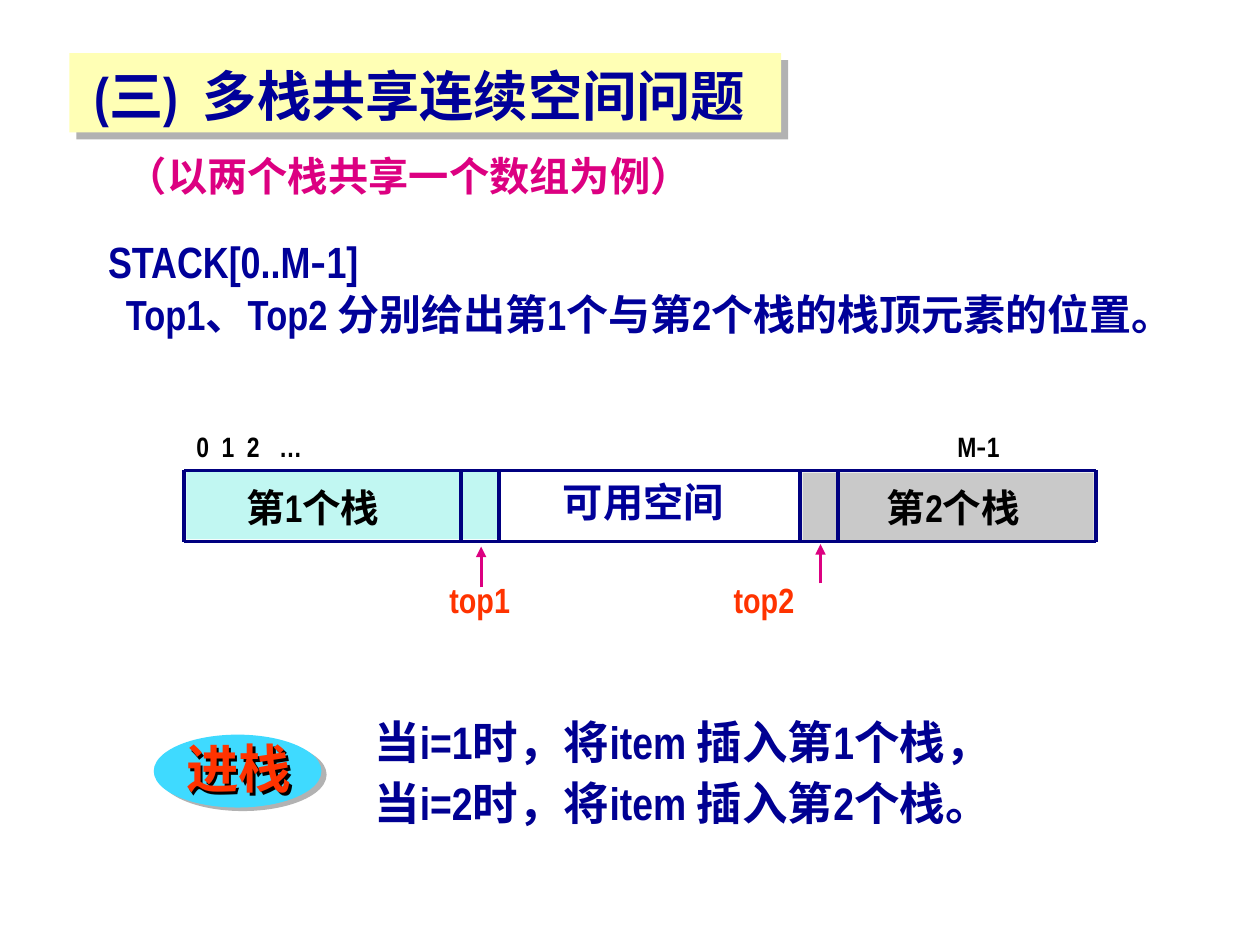
from lxml.etree import SubElement
from pptx import Presentation
from pptx.dml.color import RGBColor
from pptx.enum.shapes import MSO_CONNECTOR, MSO_SHAPE
from pptx.enum.text import MSO_ANCHOR, MSO_AUTO_SIZE, PP_ALIGN
from pptx.oxml.ns import qn
from pptx.util import Cm, Pt

NAVY = RGBColor(0x00, 0x00, 0x99)
DEEP = RGBColor(0x00, 0x00, 0x92)
EDGE = RGBColor(0x00, 0x00, 0x80)
PINK = RGBColor(0xDC, 0x00, 0x81)
RED = RGBColor(0xFF, 0x33, 0x00)
BLACK = RGBColor(0x00, 0x00, 0x00)
CREAM = RGBColor(0xFF, 0xFF, 0xB5)
SKY = RGBColor(0x3F, 0xDA, 0xFF)
MINT = RGBColor(0xC1, 0xF7, 0xF2)
GRAY = RGBColor(0xC9, 0xC9, 0xC9)
SHADE = RGBColor(0xB2, 0xB2, 0xB2)
FONTS = ["Arial Narrow", "Noto Sans CJK SC"]


def write(box, place, lines, size, color, space=1.0):
    box.left, box.top, box.width, box.height = [Cm(v) for v in place]
    frame = box.text_frame
    look = {"word_wrap": True, "auto_size": MSO_AUTO_SIZE.NONE,
            "vertical_anchor": MSO_ANCHOR.TOP}
    for name, value in look.items():
        setattr(frame, name, value)
    for row, line in enumerate(lines):
        para = frame.add_paragraph() if row else frame.paragraphs[0]
        props = para._p.get_or_add_pPr()
        props.set("marL", "0")
        props.set("indent", "0")
        SubElement(props, qn("a:buNone"))
        after = Pt(size / 4) if row < len(lines) - 1 else Pt(0)
        form = {"alignment": PP_ALIGN.LEFT, "line_spacing": space,
                "space_before": Pt(0), "space_after": after}
        for name, value in form.items():
            setattr(para, name, value)
        for turn, part in enumerate(line.split("|")):
            if not part:
                continue
            run = para.add_run()
            run.text = part
            style = {"name": FONTS[turn % 2], "size": Pt(size), "bold": True}
            for name, value in style.items():
                setattr(run.font, name, value)
            run.font.color.rgb = color
            latin = run.font._element.find(qn("a:latin"))
            east = SubElement(run.font._element, qn("a:ea"), typeface=FONTS[1])
            latin.addnext(east)
    return box


def shadow(shape, dist, angle, color):
    effects = SubElement(shape._element.spPr, qn("a:effectLst"))
    outer = SubElement(effects, qn("a:outerShdw"), dist=str(Pt(dist)),
                       dir=str(angle * 60000), algn="ctr", rotWithShape="0")
    SubElement(outer, qn("a:srgbClr"), val=str(color))


deck = Presentation()
deck.slide_width, deck.slide_height = Cm(25.4), Cm(19.05)
slide = deck.slides.add_slide(deck.slide_layouts[1])
shapes = slide.shapes

blocks = [
    (MSO_SHAPE.RECTANGLE, (1.4, 1.07, 14.35, 1.6), CREAM, (5.7, 45)),
    (MSO_SHAPE.OVAL, (3.1, 14.81, 3.38, 1.47), SKY, (3.6, 34)),
    (MSO_SHAPE.RECTANGLE, (3.76, 9.5, 6.27, 1.37), MINT, None),
    (MSO_SHAPE.RECTANGLE, (16.18, 9.53, 5.87, 1.37), GRAY, None),
]
for order, (kind, place, color, cast) in enumerate(blocks):
    block = shapes.add_shape(kind, *[Cm(v) for v in place])
    block.fill.solid()
    block.fill.fore_color.rgb = color
    block.line.fill.background()
    if cast:
        shadow(block, *cast, SHADE)
    else:
        block.shadow.inherit = False
    shapes._spTree.insert(2 + order, block._element)

title = write(shapes.title, (1.65, 1.12, 14.53, 1.57),
              ["(三)|| ||多栈共享连续空间问题"], 31, NAVY)
title.text_frame.paragraphs[0].runs[1].font._element.set("spc", "700")
write(slide.placeholders[1], (7.29, 14.4, 16.18, 2.51),
      ["当i=1时，将item 插入第1个栈，", "当i=2时，将item 插入第2个栈。"],
      26, DEEP, space=0.9)

left, right, top, low = 3.71, 22.1, 9.48, 10.92
rules = [(left, y, right, y, EDGE, 2) for y in (top, low)]
rules += [(x, top, x, low, EDGE, 2.25)
          for x in (left, 9.3, 10.06, 16.13, 16.89, right)]
rules += [(9.7, 11.84, 9.7, 11.02, PINK, 1.75),
          (16.54, 11.76, 16.54, 10.97, PINK, 1.75)]
for *ends, color, width in rules:
    rule = shapes.add_connector(MSO_CONNECTOR.STRAIGHT, *[Cm(v) for v in ends])
    rule.line.color.rgb = color
    rule.line.width = Pt(width)
    if color == PINK:
        SubElement(rule.line._get_or_add_ln(), qn("a:tailEnd"), type="triangle")
    SubElement(rule._element.spPr, qn("a:effectLst"))

labels = [
    ((2.31, 2.92, 13.54, 1.22), "（以两个栈共享一个数组为例）", 23, PINK),
    ((1.93, 4.6, 7.82, 1.32), "STACK[0..M|-|1]", 25, NAVY),
    ((2.29, 5.69, 22.9, 1.27),
     "Top1、Top2 分别给出第1个与第2个栈的栈顶元素的位置。", 24, NAVY),
    ((11.1, 9.5, 5.21, 1.22), "可用空间", 23, NAVY),
    ((4.72, 9.63, 5, 1.19), "|第|1|个栈", 22, BLACK),
    ((17.63, 9.63, 5, 1.19), "|第|2|个栈", 22, BLACK),
]
marks = [(3.71, "0"), (4.22, "1"), (4.73, "2"), (5.38, "…"), (19.05, "M|-|1")]
labels += [((x, 8.53, 2, 0.94), text, 16, BLACK) for x, text in marks]
labels += [((x, 11.53, 2.5, 1.09), text, 20, RED)
           for x, text in [(8.81, "top1"), (14.54, "top2")]]
for place, text, size, color in labels:
    write(shapes.add_textbox(0, 0, 0, 0), place, [text], size, color)

push = write(shapes.add_textbox(0, 0, 0, 0), (3.51, 14.86, 3.81, 1.42),
             ["|进栈"], 30, RED, space=0.9)
shadow(push, 2, 45, BLACK)

deck.save("out.pptx")
